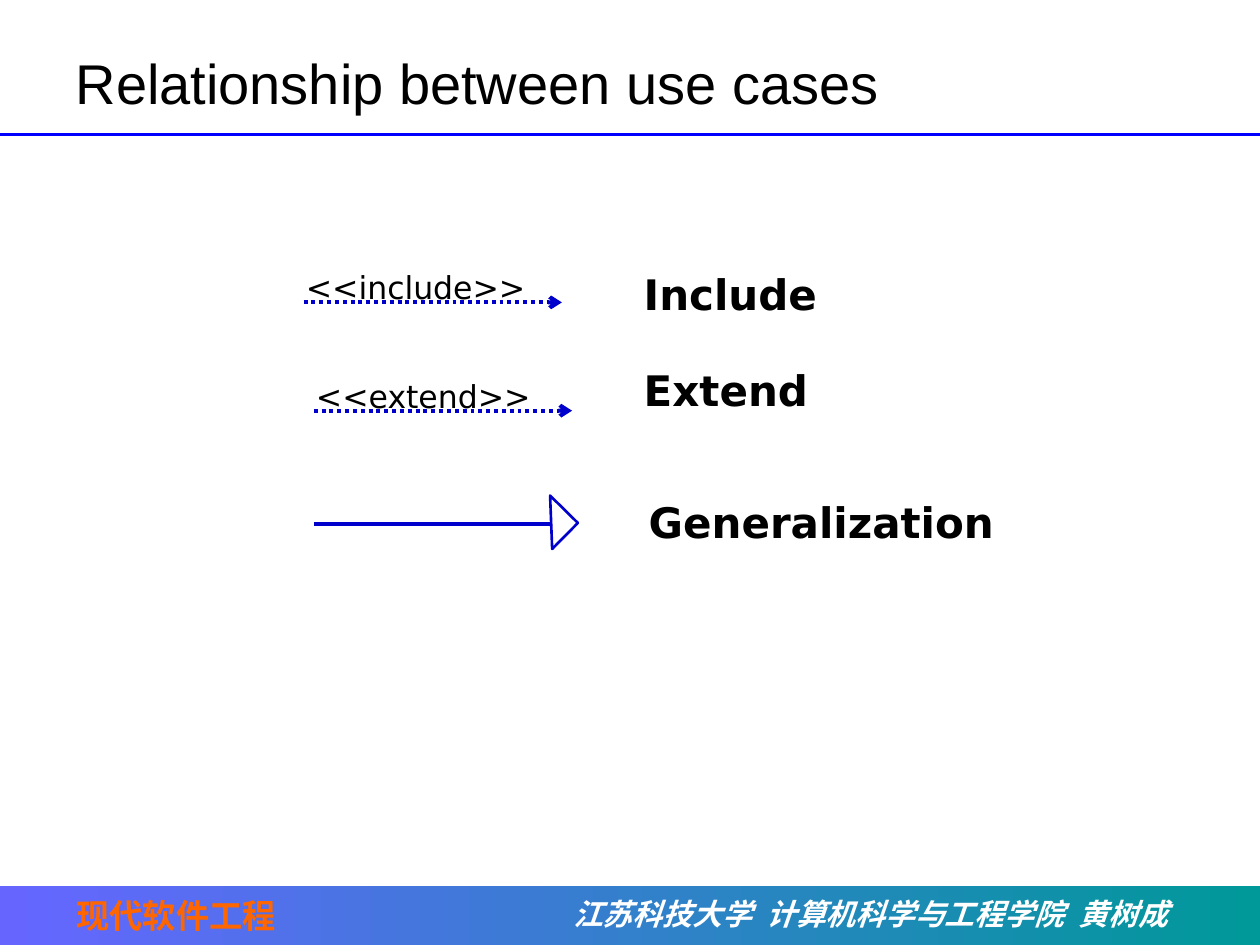
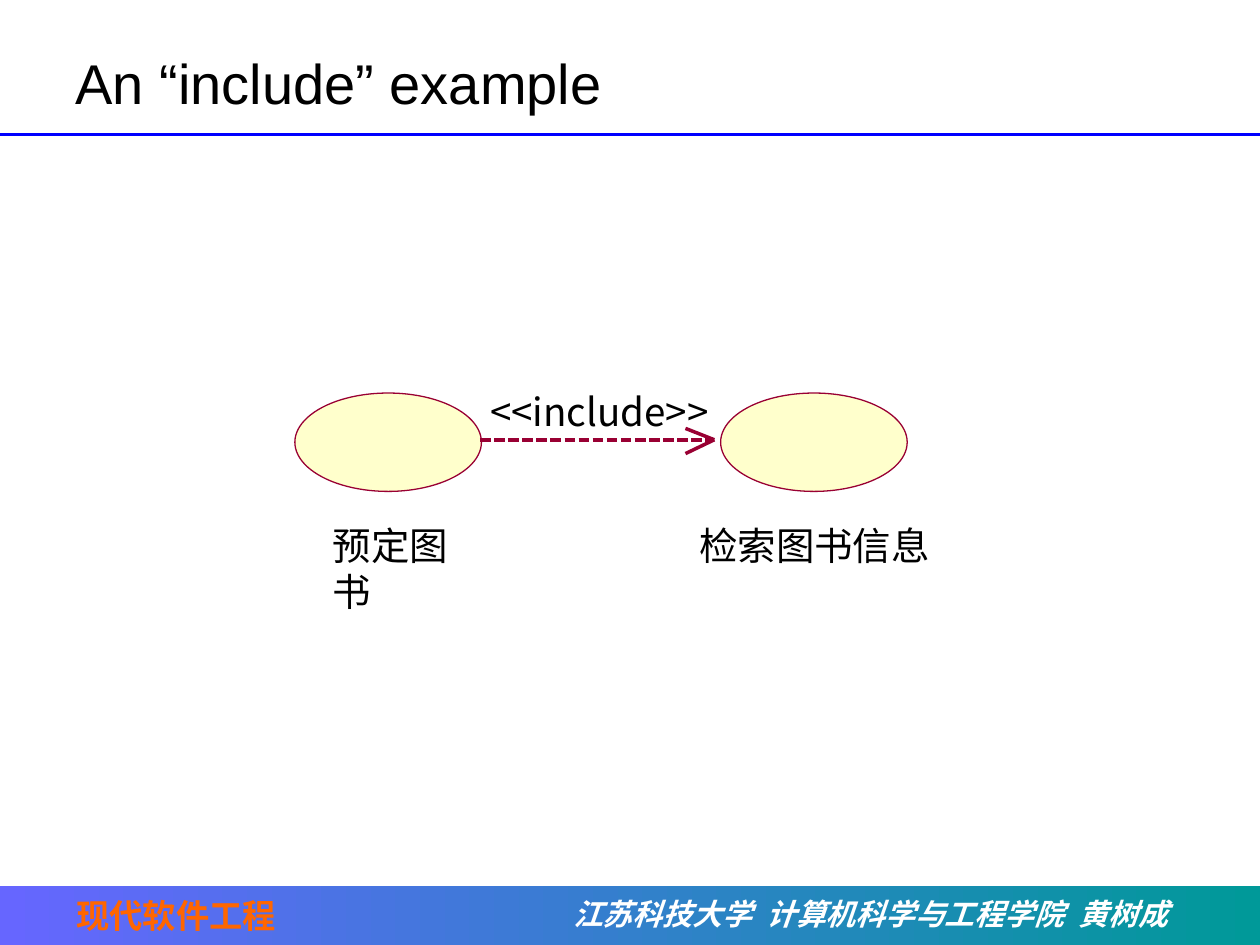
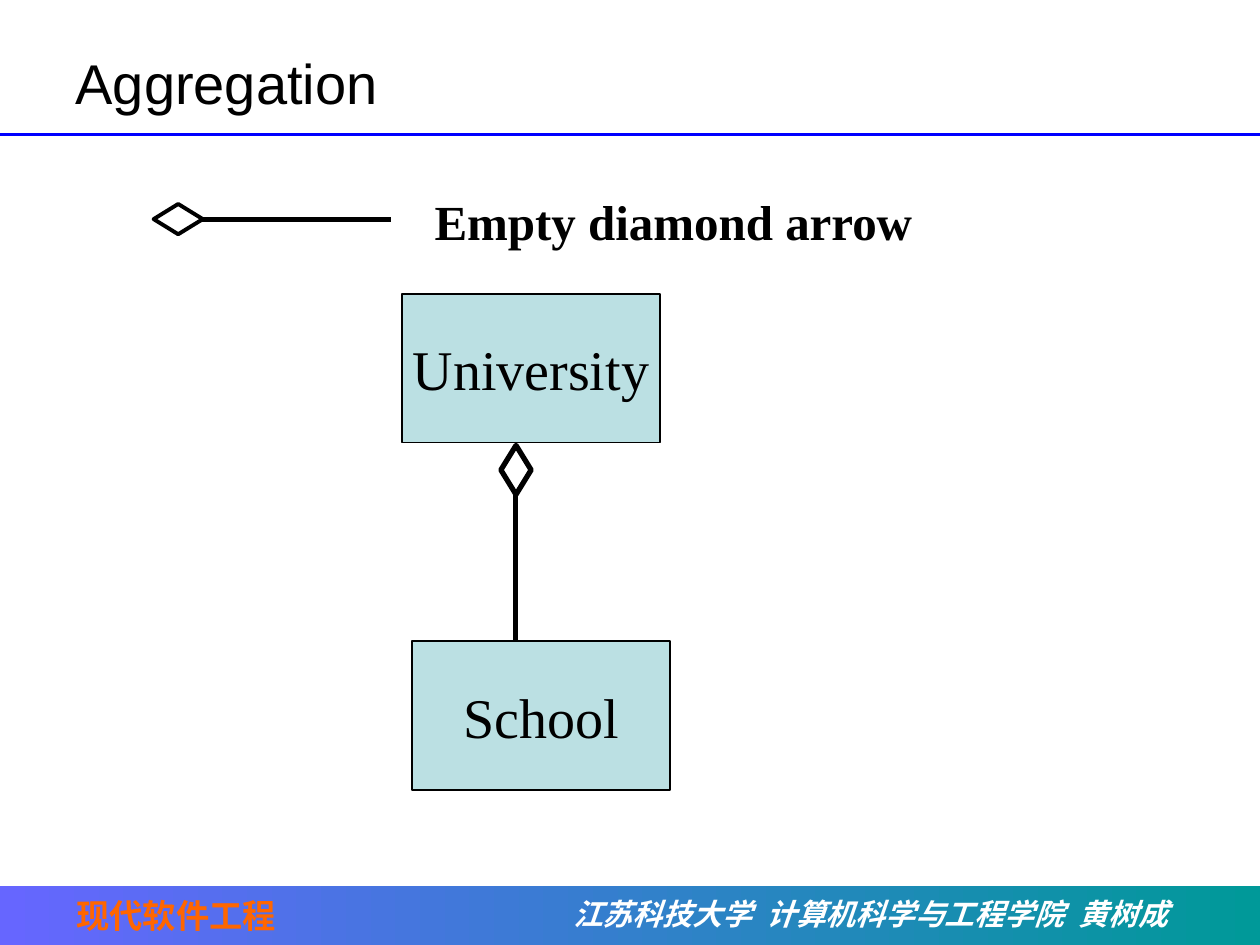
from lxml.etree import SubElement
from pptx import Presentation
from pptx.dml.color import RGBColor
from pptx.enum.dml import MSO_LINE
from pptx.enum.shapes import MSO_CONNECTOR, MSO_SHAPE
from pptx.enum.text import MSO_ANCHOR, MSO_AUTO_SIZE, PP_ALIGN
from pptx.oxml.ns import qn
from pptx.util import Pt

BLACK = RGBColor(0x00, 0x00, 0x00)
WHITE = RGBColor(0xFF, 0xFF, 0xFF)
RULE_BLUE = RGBColor(0x00, 0x00, 0xFF)
ARROW_BLUE = RGBColor(0x00, 0x00, 0xCC)
BAND_VIOLET = RGBColor(0x66, 0x66, 0xFF)
BAND_TEAL = RGBColor(0x00, 0x99, 0x99)
COURSE_ORANGE = RGBColor(0xFF, 0x66, 0x00)
CASE_YELLOW = RGBColor(0xFF, 0xFF, 0xCC)
CASE_RED = RGBColor(0x99, 0x00, 0x33)
CLASS_BLUE = RGBColor(0xBB, 0xE0, 0xE3)

SANS, SERIF, UML, CJK = "Arial", "Times New Roman", "DejaVu Sans", "Noto Sans CJK SC"
WIDTH, HEIGHT = 720, 540
BAND_TOP = 506.2


class Deck:
    """Holds the shared style and the slide being drawn."""

    def __init__(self):
        self.deck = Presentation()
        self.deck.slide_width, self.deck.slide_height = Pt(WIDTH), Pt(HEIGHT)
        self.layout = self.deck.slide_layouts[5]
        for holder in list(self.layout.placeholders):
            if holder.placeholder_format.idx != 0:
                holder.element.getparent().remove(holder.element)
        self.slide = None

    def new_slide(self, heading):
        self.slide = self.deck.slides.add_slide(self.layout)
        title = self.slide.shapes.title
        title.left, title.top, title.width, title.height = Pt(36), Pt(21.6), Pt(642.2), Pt(50.4)
        frame = title.text_frame
        frame.auto_size = MSO_AUTO_SIZE.NONE
        frame.vertical_anchor = MSO_ANCHOR.MIDDLE
        frame.paragraphs[0].alignment = PP_ALIGN.LEFT
        self.run(frame.paragraphs[0], heading, 32, SANS)

    def add_frame(self):
        """Draw the rule and footer band, then hand them to the layout."""
        rule = self.line((0, 77), (WIDTH, 77), RULE_BLUE, 1.5)
        band = self.shape(MSO_SHAPE.RECTANGLE, (0, BAND_TOP, WIDTH, HEIGHT - BAND_TOP))
        band.fill.gradient()
        band.fill.gradient_angle = 0
        for stop, color in zip(band.fill.gradient_stops, (BAND_VIOLET, BAND_TEAL)):
            stop.color.rgb = color
        school = self.text((320.4, 508.3, 368.6, 28.1))
        for part in ("江苏科技大学", " ", "计算机科学与工程学院", " ", "黄树成"):
            self.run(school.text_frame.paragraphs[0], part, 17, SERIF, WHITE,
                     bold=True, italic=True, spacing=4.25 if part == " " else 0)
        course = self.text((36.7, 508.3, 212.4, 30.2), "现代软件工程", 19, SERIF,
                           COURSE_ORANGE, bold=True)
        for part in (rule, band, school, course):
            self.layout.shapes.element.append(part.element)

    def run(self, paragraph, words, size, font, color=BLACK, bold=False, italic=False, spacing=0):
        run = paragraph.add_run()
        run.text = words
        run.font.size, run.font.name = Pt(size), font
        run.font.bold, run.font.italic = bold, italic
        run.font.color.rgb = color
        properties = run._r.get_or_add_rPr()
        SubElement(properties, qn("a:ea")).set("typeface", CJK)
        if spacing:
            properties.set("spc", str(round(spacing * 100)))

    def text(self, place, words="", size=18, font=UML, color=BLACK, bold=False, tight=False):
        box = self.slide.shapes.add_textbox(*map(Pt, place))
        frame = box.text_frame
        frame.word_wrap = not tight
        frame.auto_size = MSO_AUTO_SIZE.SHAPE_TO_FIT_TEXT
        if tight:
            frame.margin_left = frame.margin_top = frame.margin_right = frame.margin_bottom = 0
        if words:
            self.run(frame.paragraphs[0], words, size, font, color, bold)
        return box

    def shape(self, kind, place, fill=None, line=None, weight=1.0, turn=0.0):
        shape = self.slide.shapes.add_shape(kind, *map(Pt, place))
        shape.shadow.inherit = False
        shape.rotation = turn
        for paint, color in ((shape.fill, fill), (shape.line.fill, line)):
            if color is None:
                paint.background()
            else:
                paint.solid()
                paint.fore_color.rgb = color
        if line is not None:
            shape.line.width = Pt(weight)
        return shape

    def line(self, start, end, color, weight, dash=None, arrow=False):
        line = self.slide.shapes.add_connector(MSO_CONNECTOR.STRAIGHT, *map(Pt, start + end))
        line.line.color.rgb = color
        line.line.width = Pt(weight)
        if dash:
            line.line.dash_style = dash
        properties = line.element.spPr
        if arrow:
            SubElement(properties.find(qn("a:ln")), qn("a:tailEnd")).set("type", "arrow")
        SubElement(properties, qn("a:effectLst"))
        return line

    def class_box(self, left, top, name):
        box = self.shape(MSO_SHAPE.RECTANGLE, (left, top, 147.6, 85), CLASS_BLUE, BLACK)
        frame = box.text_frame
        frame.word_wrap = False
        frame.vertical_anchor = MSO_ANCHOR.MIDDLE
        frame.paragraphs[0].alignment = PP_ALIGN.CENTER
        self.run(frame.paragraphs[0], name, 32, SERIF)

    def diamond(self, left, top, weight, turn=0):
        self.shape(MSO_SHAPE.DIAMOND, (left, top, 28.1, 17.3), None, BLACK, weight, turn)


def relationships(deck):
    deck.new_slide("Relationship between use cases")
    deck.add_frame()
    # Dotted arrows with stereotypes
    for stereotype, left, y in (("<<include>>", 173.5, 172.8), ("<<extend>>", 179.3, 234.7)):
        deck.line((left, y), (left + 147.6, y), ARROW_BLUE, 2.25, MSO_LINE.ROUND_DOT, arrow=True)
        deck.text((left - 5.8, y - 23, 141.8, 28.8), stereotype)
    # Generalization arrow
    deck.line((179.3, 299.5), (315.4, 299.5), ARROW_BLUE, 2.25)
    deck.shape(MSO_SHAPE.RIGHT_TRIANGLE, (303.8, 288, 22.3, 20.9), None, ARROW_BLUE, 1.5, 224.6)
    # Names of the relationships
    for name, left, top in (("Include", 360.7, 149.8), ("Extend", 360.7, 204.5),
                            ("Generalization", 363.6, 280.1)):
        deck.text((left, top, 212.4, 36), name, 24, bold=True)


def include_example(deck):
    deck.new_slide("An “include” example")
    # Use cases
    for case, left, label_left, label_width in (("预定图书", 168.5, 190.1, 87.8),
                                                ("检索图书信息", 411.8, 399.6, 131.8)):
        deck.shape(MSO_SHAPE.OVAL, (left, 224.6, 106.6, 56.2), CASE_YELLOW, CASE_RED, 0)
        deck.text((label_left, 298.1, label_width, 26.6), case, 22, CJK, tight=True)
    # Include arrow with an open head
    tip = (408.2, 251.3)
    deck.line((274.3, 251.3), tip, CASE_RED, 0, MSO_LINE.SQUARE_DOT)
    for barb_y in (259.2, 244.8):
        deck.line(tip, (391.7, barb_y), CASE_RED, 0)
    deck.text((280.1, 221.8, 127.4, 26.6), "<<include>>", 22, CJK, tight=True)


def aggregation(deck):
    deck.new_slide("Aggregation")
    # Legend
    deck.diamond(87.8, 116.6, 2.25)
    deck.line((115.2, 125.3), (223.2, 125.3), BLACK, 3)
    deck.text((241.2, 105.8, 323.3, 41), "Empty diamond arrow", 28, SERIF, bold=True)
    # Whole and part
    deck.class_box(229.7, 167.8, "University")
    deck.class_box(235.4, 366.5, "School")
    deck.diamond(280.8, 259.9, 3, 90)
    deck.line((294.5, 366.5), (294.5, 281.5), BLACK, 3)


def main():
    deck = Deck()
    relationships(deck)
    include_example(deck)
    aggregation(deck)
    deck.deck.save("out.pptx")


if __name__ == "__main__":
    main()
